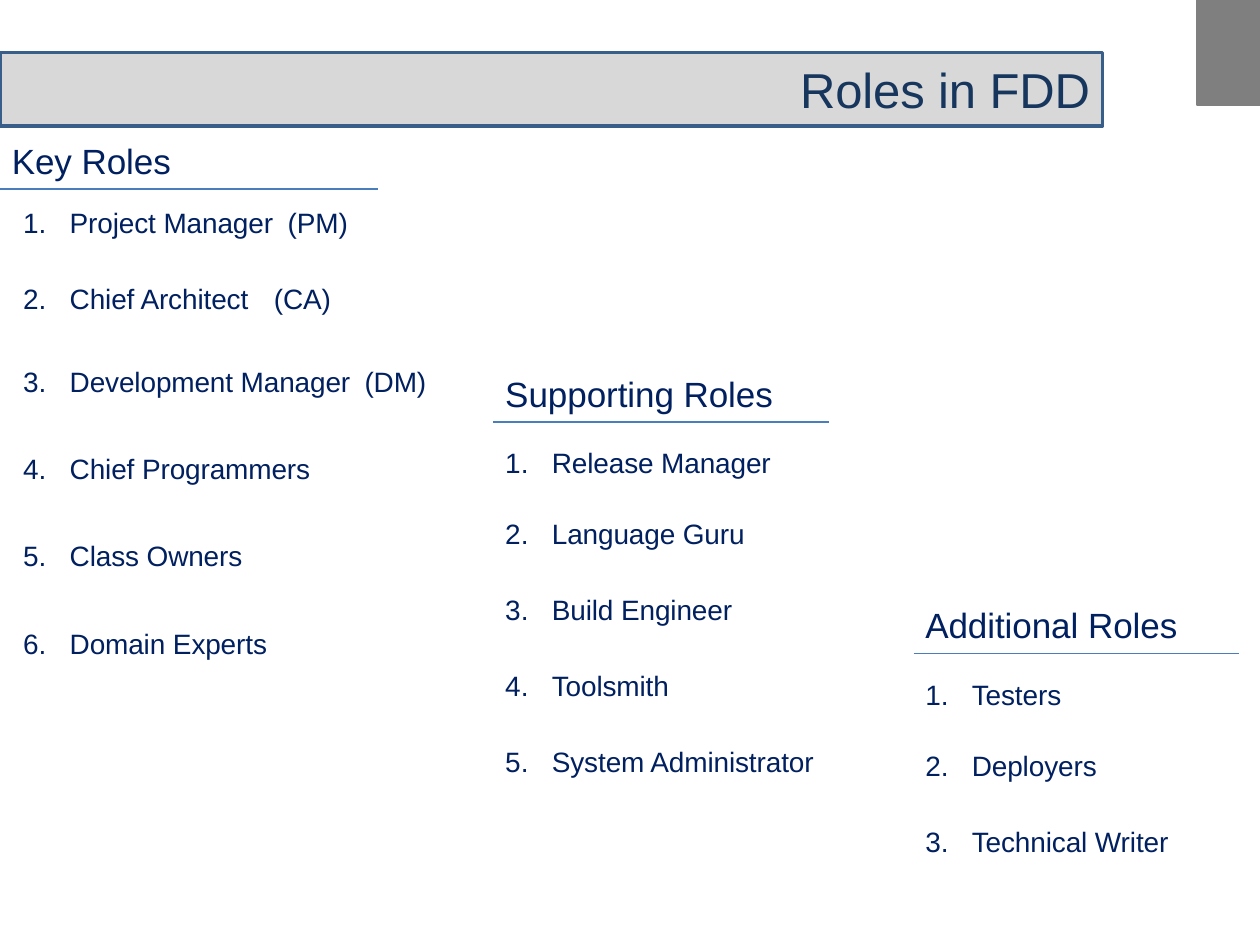
"""Builds a slide listing the key, supporting and additional roles in FDD."""
from lxml import etree
from pptx import Presentation
from pptx.dml.color import RGBColor
from pptx.enum import shapes, text
from pptx.oxml.ns import qn
from pptx.util import Inches, Pt

COLORS = {"banner": "D8D8D8", "border": "385E8A", "title": "17365D",
          "corner": "7F7F7F", "rule": "4A7DBB", "text": "002060"}
COLUMNS, ROWS = 120, 90

deck = Presentation()
deck.slide_width, deck.slide_height = Inches(10), Inches(7.5)
page = deck.slides.add_slide(deck.slide_layouts.get_by_name("Comparison"))
column, row = deck.slide_width / COLUMNS, deck.slide_height / ROWS


def place(shape, left, top, width, height):
    shape.left, shape.top = round(left * column), round(top * row)
    shape.width, shape.height = round(width * column), round(height * row)


def style(paragraph, size, color):
    paragraph.line_spacing = 1.0
    for span in paragraph.runs:
        span.font.name, span.font.size, span.font.bold = "Arial", Pt(size), False
        span.font.color.rgb = RGBColor.from_string(COLORS[color])
        span.font._element.set("spc", "-5")


title = page.shapes.title
place(title, 0, 5, 105, 7)
title.fill.solid()
title.fill.fore_color.rgb = RGBColor.from_string(COLORS["banner"])
title.line.color.rgb = RGBColor.from_string(COLORS["border"])
title.line.width = Pt(2)
frame = title.text_frame
frame.text = "Roles in FDD"
frame.auto_size = text.MSO_AUTO_SIZE.NONE
frame.vertical_anchor = text.MSO_ANCHOR.MIDDLE
frame.margin_left = frame.margin_top = frame.margin_bottom = 0
frame.margin_right = Inches(0.1)
frame.paragraphs[0].alignment = text.PP_ALIGN.RIGHT
style(frame.paragraphs[0], 28, "title")

corner = page.shapes.add_shape(shapes.MSO_SHAPE.RECTANGLE, 0, 0, 0, 0)
place(corner, 114, 0, 6, 10)
corner.shadow.inherit = False
corner.fill.solid()
corner.fill.fore_color.rgb = RGBColor.from_string(COLORS["corner"])
corner.line.color.rgb = RGBColor.from_string(COLORS["corner"])
corner.line.width = Pt(0.75)

# name, grid box, rule length, item indent, (item, space before, tab stop)
groups = [
    ("Key Roles", (1, 13, 40.2, 48.4), 36, 0.47, [
        ("Project Manager\t(PM)", 13.7, 2.2),
        ("Chief Architect\t(CA)", 24.4, 2.09),
        ("Development Manager\t(DM)", 28.2, 2.81),
        ("Chief Programmers", 30.7, None),
        ("Class Owners", 30.7, None),
        ("Domain Experts", 30.7, None)]),
    ("Supporting Roles", (48, 35.2, 30, 38.2), 32, 0.38, [
        ("Release Manager", 18.1, None),
        ("Language Guru", 21.4, None),
        ("Build Engineer", 24.2, None),
        ("Toolsmith", 24.2, None),
        ("System Administrator", 24.2, None)]),
    ("Additional Roles", (88, 57.25, 24.4, 24.1), 31, 0.38, [
        ("Testers", 18.1, None),
        ("Deployers", 21.4, None),
        ("Technical Writer", 24.2, None)]),
]

bodies = [holder for holder in page.placeholders if holder.placeholder_format.idx > 0]
for box, (heading, area, length, indent, items) in zip(bodies, groups):
    place(box, *area)
    frame = box.text_frame
    frame.word_wrap = True
    frame.auto_size = text.MSO_AUTO_SIZE.NONE
    frame.vertical_anchor = text.MSO_ANCHOR.TOP
    frame.margin_left = frame.margin_right = frame.margin_bottom = 0
    frame.margin_top = Inches(0.02)
    frame.text = heading
    para = frame.paragraphs[0]
    para.space_before = Pt(0)
    properties = para._p.get_or_add_pPr()
    properties.set("marL", str(Inches(0.01)))
    properties.set("indent", "0")
    etree.SubElement(properties, qn("a:buNone"))
    style(para, 20, "text")

    for item, gap, stop in items:
        para = frame.add_paragraph()
        para.text = item
        para.space_before = Pt(gap)
        properties = para._p.get_or_add_pPr()
        properties.set("marL", str(Inches(indent)))
        properties.set("indent", str(Inches(-0.37)))
        etree.SubElement(properties, qn("a:buFont"), typeface="Arial")
        etree.SubElement(properties, qn("a:buAutoNum"), type="arabicPeriod")
        if stop:
            tabs = etree.SubElement(properties, qn("a:tabLst"))
            etree.SubElement(tabs, qn("a:tab"), pos=str(Inches(stop)), algn="l")
        style(para, 16, "text")

    start, level = round((area[0] - 1) * column), round((area[1] + 5) * row)
    rule = page.shapes.add_connector(shapes.MSO_CONNECTOR.STRAIGHT, start, level,
                                     start + round(length * column), level)
    rule.line.color.rgb = RGBColor.from_string(COLORS["rule"])
    rule.line.width = Pt(0.75)
    etree.SubElement(rule._element.spPr, qn("a:effectLst"))

for spare in bodies[len(groups):]:
    spare._element.getparent().remove(spare._element)

deck.save("out.pptx")
